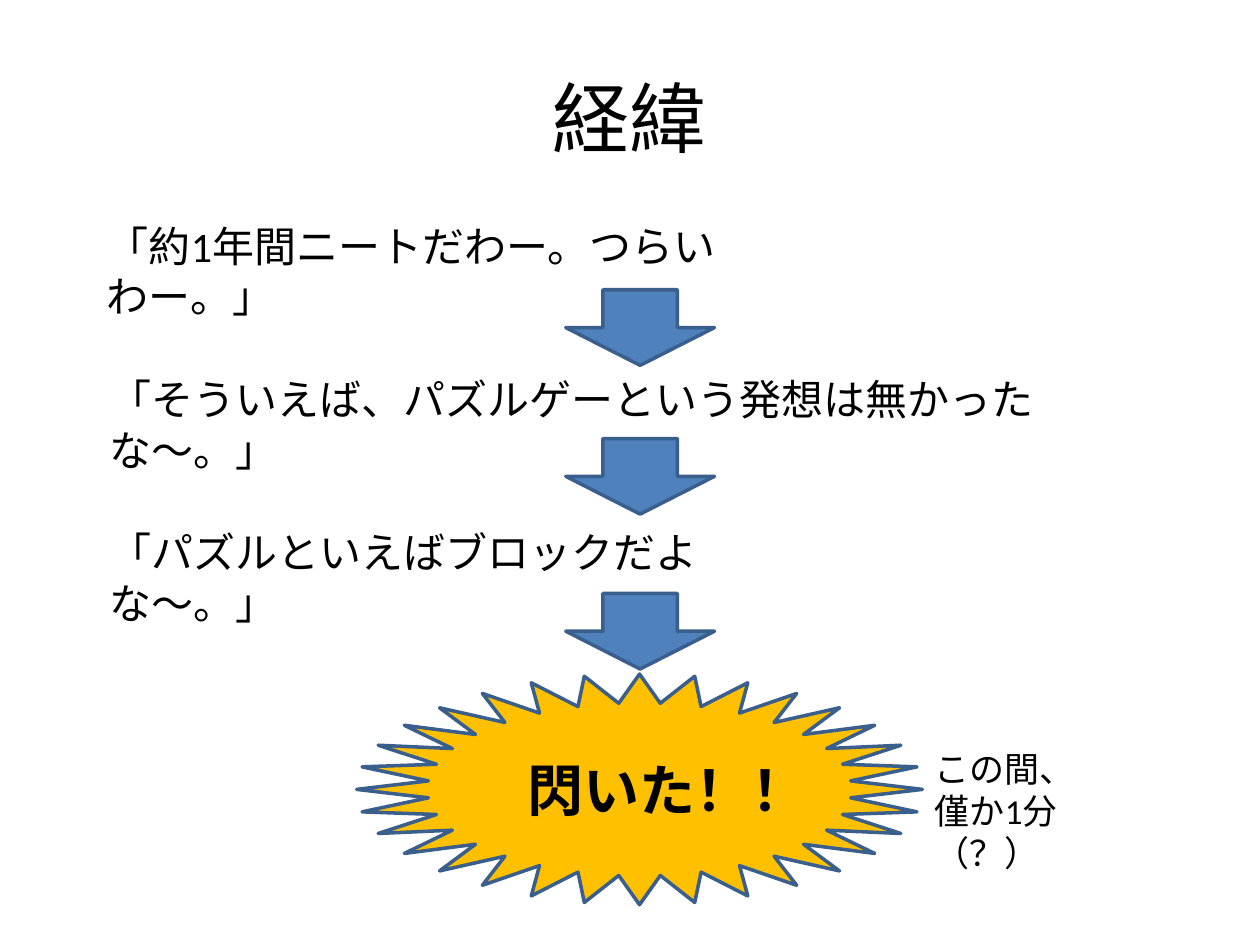
from pptx import Presentation
from pptx.dml.color import RGBColor
from pptx.enum.shapes import MSO_SHAPE as SHAPE
from pptx.enum.text import MSO_ANCHOR as ANCHOR, PP_ALIGN as ALIGN
from pptx.util import Pt

BLACK = RGBColor(0x00, 0x00, 0x00)
BLUE = RGBColor(0x4F, 0x81, 0xBD)
OUTLINE = RGBColor(0x3A, 0x5F, 0x8C)
GOLD = RGBColor(0xFF, 0xC0, 0x00)
FONT = "Calibri"

# Each thought: text, left, top, width, top of the arrow below it
THOUGHTS = [
    ("「約1年間ニートだわー。つらいわー。」", 54, 122.4, 400.3, 165.6),
    ("「そういえば、パズルゲーという発想は無かったな～。」", 55.4, 210, 566, 250.6),
    ("「パズルといえばブロックだよな～。」", 55.4, 297.4, 380.9, 339.1),
]
ARROW_LEFT, ARROW_WIDTH, ARROW_HEIGHT = 323.3, 85, 43.2


def place(s, box):
    s.left, s.top, s.width, s.height = (Pt(v) for v in box)


def write(tf, lines, size, align=ALIGN.LEFT, bold=False):
    for i, line in enumerate(lines):
        p = tf.paragraphs[0] if i == 0 else tf.add_paragraph()
        p.alignment = align
        r = p.add_run()
        r.text = line
        r.font.name = FONT
        r.font.size = Pt(size)
        r.font.bold = bold
        r.font.color.rgb = BLACK


def add_title(s, text, box):
    sp = s.shapes.title
    place(sp, box)
    sp.text_frame.vertical_anchor = ANCHOR.MIDDLE
    write(sp.text_frame, [text], 44, ALIGN.CENTER)


def add_text(s, lines, box, size):
    tf = s.shapes.add_textbox(*(Pt(v) for v in box)).text_frame
    tf.word_wrap = True
    write(tf, lines, size)


def add_outlined(s, kind, box, fill):
    sp = s.shapes.add_shape(kind, *(Pt(v) for v in box))
    sp.shadow.inherit = False
    sp.fill.solid()
    sp.fill.fore_color.rgb = fill
    sp.line.color.rgb = OUTLINE
    sp.line.width = Pt(2)
    return sp


def add_burst(s, text, box):
    sp = add_outlined(s, SHAPE.STAR_32_POINT, box, GOLD)
    tf = sp.text_frame
    tf.word_wrap = True
    tf.vertical_anchor = ANCHOR.MIDDLE
    write(tf, [text], 32, ALIGN.CENTER, bold=True)


def add_thoughts(s):
    for text, left, top, width, arrow_top in THOUGHTS:
        add_text(s, [text], (left, top, width, 36), 24)
        arrow_box = (ARROW_LEFT, arrow_top, ARROW_WIDTH, ARROW_HEIGHT)
        add_outlined(s, SHAPE.DOWN_ARROW, arrow_box, BLUE)


def main():
    prs = Presentation()
    prs.slide_width, prs.slide_height = Pt(720), Pt(540)
    s = prs.slides.add_slide(prs.slide_layouts[5])
    add_title(s, "経緯", (36, 21.6, 648, 90))
    add_thoughts(s)
    add_burst(s, "閃いた！！", (203.8, 385.2, 323.3, 131.8))
    add_text(s, ["この間、", "僅か1分（？）"], (527, 423.4, 126, 55.4), 20)
    prs.save("out.pptx")


if __name__ == "__main__":
    main()
